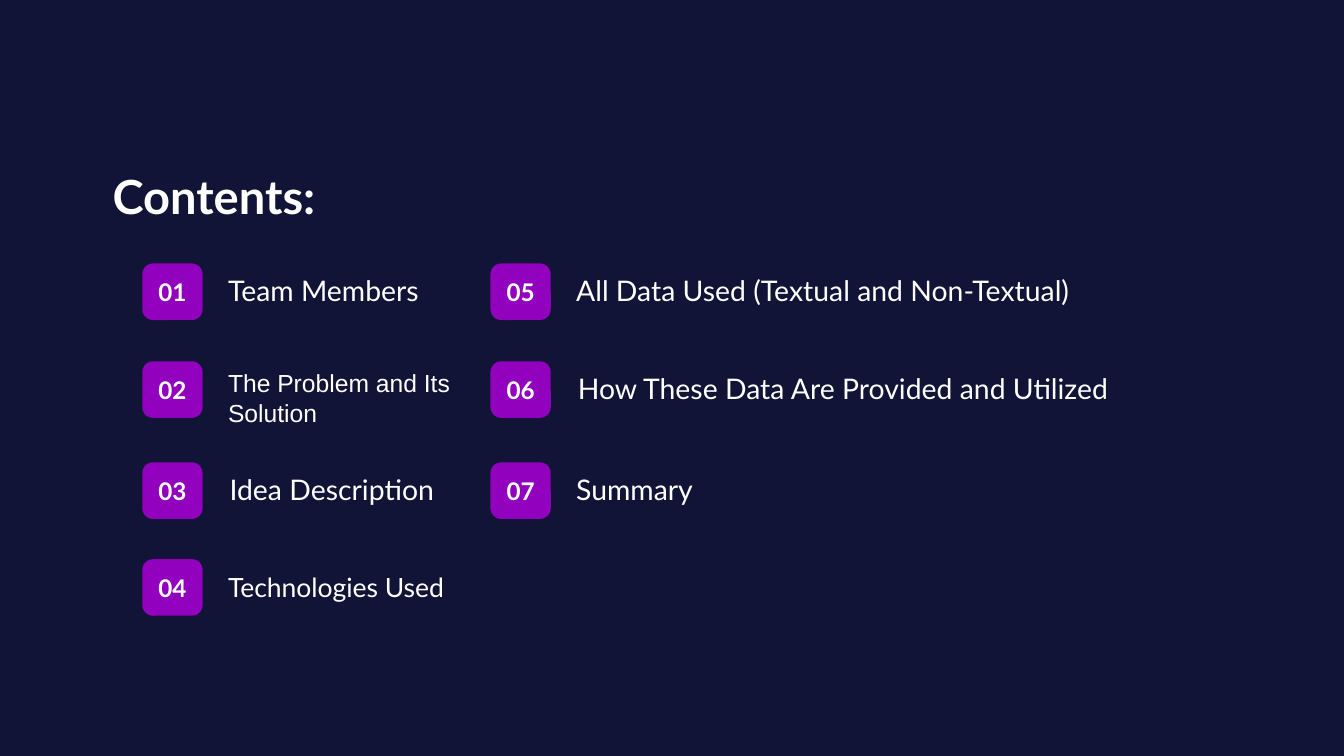
from pptx import Presentation
from pptx.dml.color import RGBColor
from pptx.enum.shapes import MSO_SHAPE as SHAPE
from pptx.enum.text import MSO_ANCHOR as ANCHOR, PP_ALIGN as ALIGN
from pptx.util import Cm, Pt

NAVY, PURPLE, WHITE = "121437", "9101BE", "FFFFFF"
BADGE_W, BADGE_H = 1.14, 1.07
ROW_TOPS = [4.98, 6.83, 8.74, 10.57]
INSET = 0.25

# Each column: badge left, then number, label, label left, label width
COLUMNS = [
    (2.69, [
        ("01", "Team Members", 4.06, 4.8),
        ("02", "The Problem and Its\nSolution", 4.06, 4.8),
        ("03", "Idea Description", 4.09, 5.64),
        ("04", "Technologies Used", 4.06, 4.8),
    ]),
    (9.27, [
        ("05", "All Data Used (Textual and Non-Textual)", 10.64, 11.43),
        ("06", "How These Data Are Provided and Utilized", 10.67, 13.06),
        ("07", "Summary", 10.64, 6.27),
    ]),
]
# Labels that differ from the rest: font, size, extra height, drop
SPECIAL = {
    "02": ("Arial", 13.2, 0.56, 0.43),
    "04": ("Lato", 14.2, 0, 0),
}
USUAL = ("Lato", 15.2, 0, 0)


def color(hex_string):
    return RGBColor.from_string(hex_string)


def set_text(s, text, size, font="Lato", bold=False, anchor=ANCHOR.TOP,
             align=ALIGN.LEFT, side=INSET):
    tf = s.text_frame
    tf.text = text
    tf.word_wrap = True
    tf.vertical_anchor = anchor
    tf.margin_left = tf.margin_right = Cm(side)
    tf.margin_top = tf.margin_bottom = Cm(INSET)
    for p in tf.paragraphs:
        p.alignment = align
        for r in p.runs:
            r.font.name = font
            r.font.size = Pt(size)
            r.font.bold = bold
            r.font.color.rgb = color(WHITE)


def add_text(slide, left, top, width, height, text, size, **style):
    s = slide.shapes.add_textbox(Cm(left), Cm(top), Cm(width), Cm(height))
    set_text(s, text, size, **style)


def add_badge(slide, left, top, number):
    s = slide.shapes.add_shape(SHAPE.ROUNDED_RECTANGLE, Cm(left), Cm(top),
                               Cm(BADGE_W), Cm(BADGE_H))
    s.adjustments[0] = 0.19
    s.shadow.inherit = False
    s.fill.solid()
    s.fill.fore_color.rgb = color(PURPLE)
    s.line.fill.background()
    set_text(s, number, 13, bold=True, anchor=ANCHOR.MIDDLE,
             align=ALIGN.CENTER, side=0)


def main():
    prs = Presentation()
    prs.slide_width, prs.slide_height = Cm(25.4), Cm(14.29)
    slide = prs.slides.add_slide(prs.slide_layouts[6])
    slide.background.fill.solid()
    slide.background.fill.fore_color.rgb = color(NAVY)

    # Title
    add_text(slide, 1.88, 2.92, 20.6, 1.5, "Contents:", 25.2, bold=True)

    # Numbered items, column by column
    for badge_left, items in COLUMNS:
        for top, (number, label, left, width) in zip(ROW_TOPS, items):
            font, size, extra, drop = SPECIAL.get(number, USUAL)
            add_text(slide, left, top + drop - extra, width, BADGE_H + extra,
                     label, size, font=font, anchor=ANCHOR.BOTTOM)
            add_badge(slide, badge_left, top, number)

    prs.save("out.pptx")


if __name__ == "__main__":
    main()
